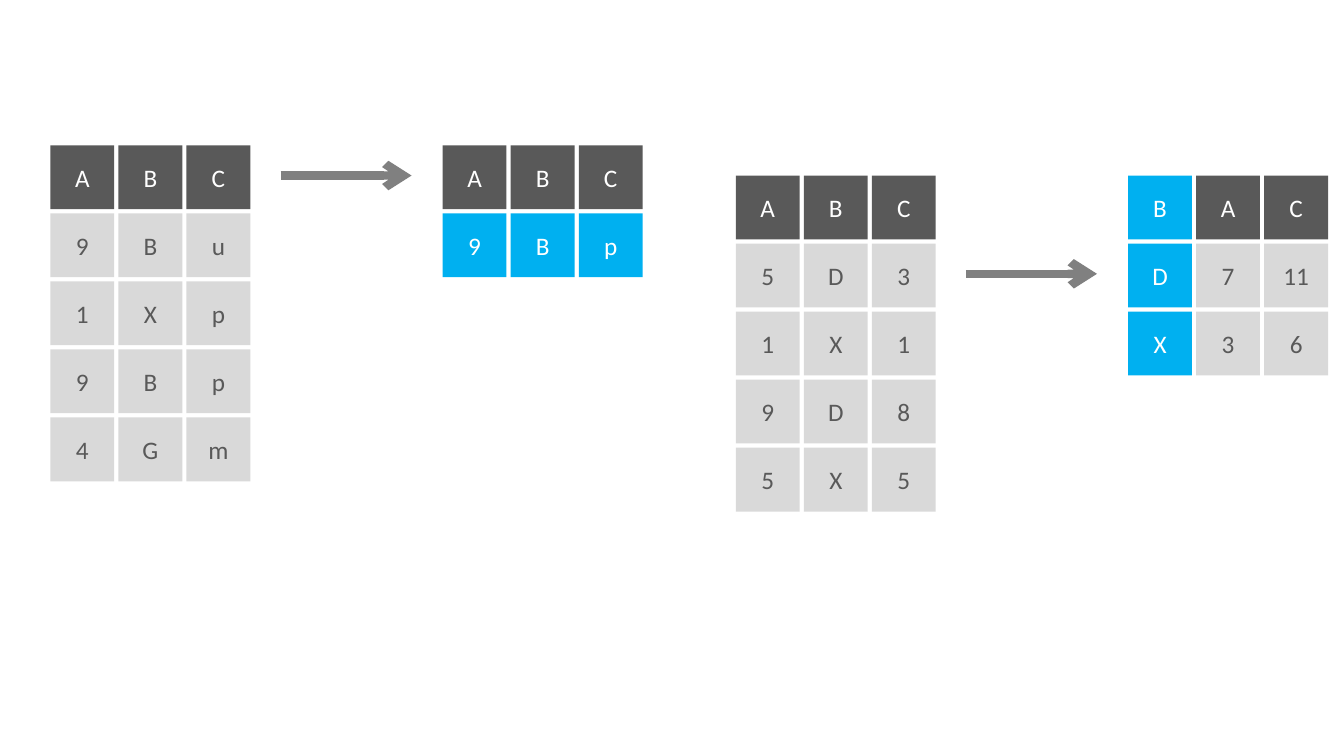
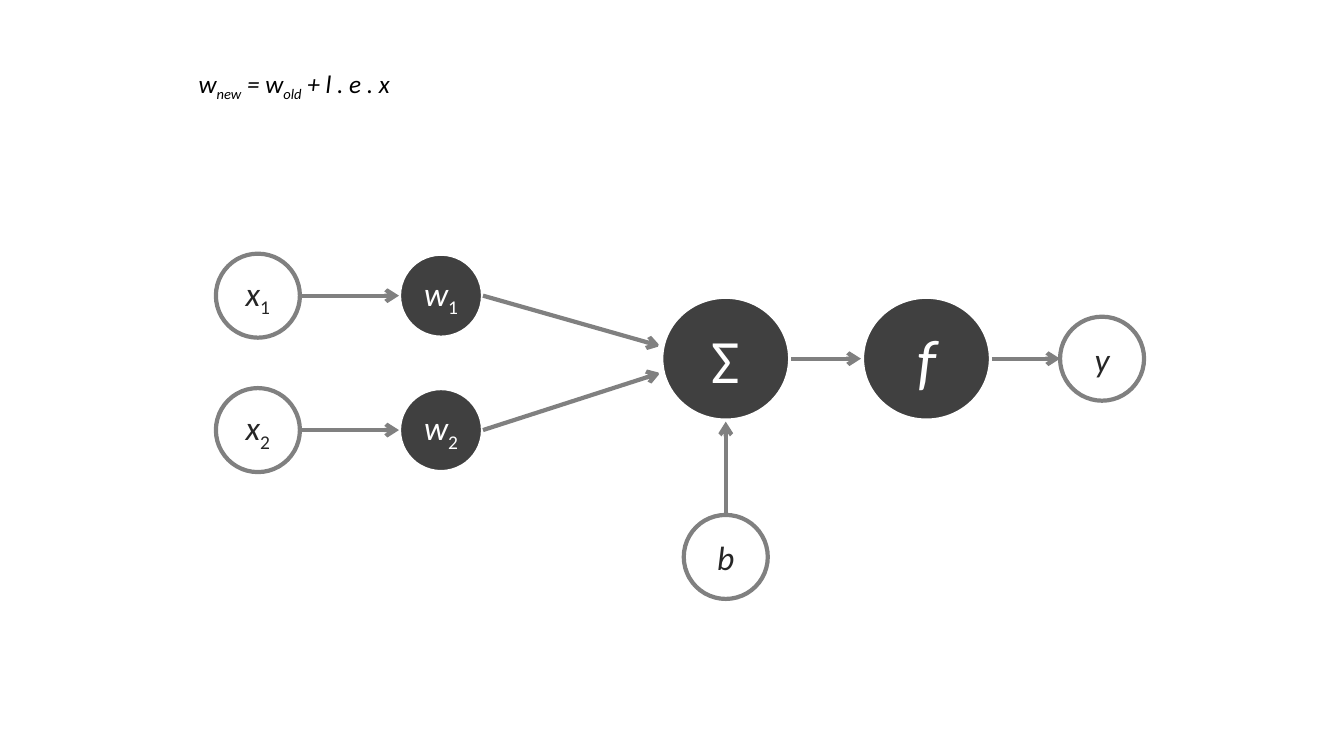
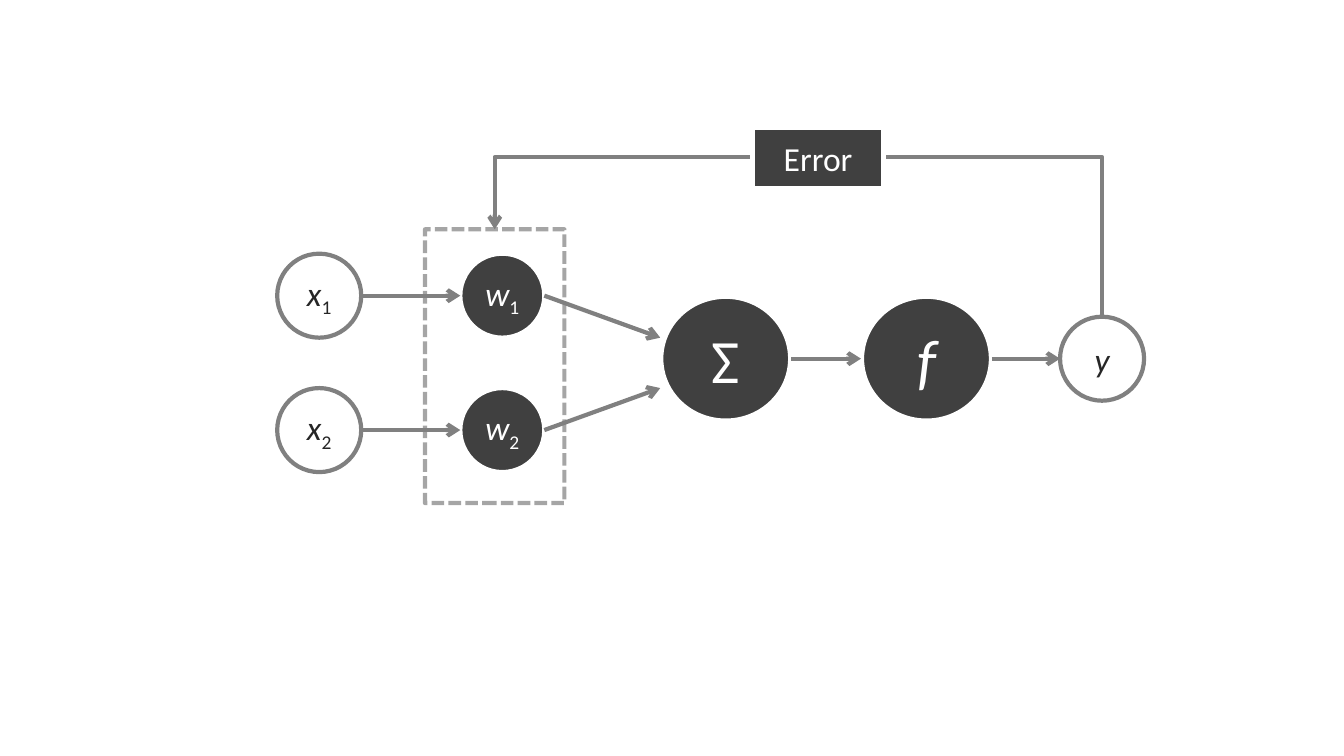
from lxml import etree
from pptx import Presentation
from pptx import util as u
from pptx.dml import color
from pptx.enum import dml, shapes, text
from pptx.oxml import ns

COLORS = {"white": "FFFFFF", "head": "595959", "cell": "D9D9D9", "accent": "00B0F0",
          "dark": "404040", "line": "808080", "ink": "262626", "black": "000000"}
STYLES = {
    "head": {"fill": "head", "ink": "white", "size": 18},
    "cell": {"fill": "cell", "ink": "head", "size": 18},
    "accent": {"fill": "accent", "ink": "white", "size": 18},
    "hollow": {"line": "line", "weight": 3, "ink": "ink", "size": 24},
    "solid": {"fill": "dark", "line": "white", "weight": 3, "ink": "white", "size": 24},
    "large": {"fill": "dark", "line": "white", "weight": 4.5, "ink": "white", "size": 44},
    "frame": {"line": "line", "weight": 3},
    "formula": {"ink": "black", "size": 18},
}
RGB = {name: color.RGBColor.from_string(value) for name, value in COLORS.items()}
RECT, OVAL = shapes.MSO_SHAPE.RECTANGLE, shapes.MSO_SHAPE.OVAL
STRAIGHT, ELBOW = shapes.MSO_CONNECTOR.STRAIGHT, shapes.MSO_CONNECTOR.ELBOW

deck = Presentation()
deck.slide_width, deck.slide_height = u.Inches(40 / 3), u.Inches(7.5)
UNIT = deck.slide_width / 16


def draw_node(holder, kind, center, size, style, runs=()):
    look = STYLES[style]
    box = [round(UNIT * value) for value in (center[0] - size[0] / 2, center[1] - size[1] / 2, *size)]
    node = holder.add_shape(kind, *box) if kind else holder.add_textbox(*box)
    node.shadow.inherit = False
    for paint, name in ((node.fill, "fill"), (node.line.fill, "line")):
        if name in look:
            paint.solid()
            paint.fore_color.rgb = RGB[look[name]]
        else:
            paint.background()
    if "weight" in look:
        node.line.width = u.Pt(look["weight"])
    para = node.text_frame.paragraphs[0]
    para.alignment = text.PP_ALIGN.CENTER if kind else text.PP_ALIGN.LEFT
    for words, marks in runs:
        span = para.add_run()
        span.text = words
        for name, value in {"name": "Calibri", "size": u.Pt(look["size"]), "italic": "i" in marks}.items():
            setattr(span.font, name, value)
        span.font.color.rgb = RGB[look["ink"]]
        if "s" in marks:
            span._r.get_or_add_rPr().set("baseline", "-25000")
    return node


def draw_arrow(holder, kind, start, end, weight=3):
    arrow = holder.add_connector(kind, *[round(UNIT * value) for value in (*start, *end)])
    arrow.line.color.rgb = RGB["line"]
    arrow.line.width = u.Pt(weight)
    etree.SubElement(arrow.line._get_or_add_ln(), ns.qn("a:tailEnd"), type="arrow")
    etree.SubElement(arrow.element.spPr, ns.qn("a:effectLst"))
    return arrow


page = deck.slides.add_slide(deck.slide_layouts[6])
SIDE, PITCH = 0.76, 0.81
examples = [
    [(0.98, 2.11, ["ABC", "9Bu", "1Xp", "9Bp", "4Gm"], (), ()),
     (5.65, 2.11, ["ABC", "9Bp"], (1,), ()),
     (3.34, 4.9, 2.09)],
    [(9.14, 2.47, ["ABC", "5D3", "1X1", "9D8", "5X5"], (), ()),
     (13.81, 2.47, ["BAC", ["D", "7", "11"], "X36"], (), (0,)),
     (11.5, 13.06, 3.26)],
]
for *grids, (arrow_left, arrow_right, arrow_y) in examples:
    group = page.shapes.add_group_shape().shapes
    for left, top, rows, accent_rows, accent_columns in grids:
        for row, values in enumerate(rows):
            for column, value in enumerate(values):
                accent = row in accent_rows or column in accent_columns
                style = "accent" if accent else "cell" if row else "head"
                center = (left + column * PITCH, top + row * PITCH)
                draw_node(group, RECT, center, (SIDE, SIDE), style, [(value, "")])
    draw_arrow(group, STRAIGHT, (arrow_left, arrow_y), (arrow_right, arrow_y), 6)

MIDDLE = 4.27
SUM_X, F_X, Y_X = 8.64, 11.03, 13.12
LARGE = (1.56, 1.5)
BIG_RADIUS = LARGE[0] / 2
networks = [
    {"x": 3.07, "w": 5.25, "joins": (4.12, 4.44), "error": False},
    {"x": 3.8, "w": 5.98, "joins": (4.02, 4.62), "error": True},
]
for network in networks:
    page = deck.slides.add_slide(deck.slide_layouts[6])
    board = page.shapes
    if network["error"]:
        frame_x, frame_top, bend_y = 5.89, 2.73, 1.87
        start_y = MIDDLE - 0.5
        drop, reach = start_y - frame_top, Y_X - frame_x
        mid_x, mid_y = (Y_X + frame_x) / 2, (start_y + frame_top) / 2
        feedback = draw_arrow(board, ELBOW, (mid_x - drop / 2, mid_y - reach / 2),
                              (mid_x + drop / 2, mid_y + reach / 2))
        turn = feedback.element.spPr.find(ns.qn("a:xfrm"))
        for name, value in {"rot": "16200000", "flipV": "1"}.items():
            turn.set(name, value)
        adjusts = next(feedback.element.iter(ns.qn("a:avLst")))
        bend = round((start_y - bend_y) / drop * 100000)
        etree.SubElement(adjusts, ns.qn("a:gd"), name="adj1", fmla=f"val {bend}")

    for index, y, join in zip("12", (3.52, 5.12), network["joins"]):
        for letter, style in (("x", "hollow"), ("w", "solid")):
            draw_node(board, OVAL, (network[letter], y), (1, 1), style, [(letter, "i"), (index, "s")])
        draw_arrow(board, STRAIGHT, (network["x"] + 0.5, y), (network["w"] - 0.5, y))
        draw_arrow(board, STRAIGHT, (network["w"] + 0.5, y), (SUM_X - BIG_RADIUS, join))

    for x, runs, right_inset in ((SUM_X, [("Σ", "")], 0.08), (F_X, [(" ", ""), ("f", "i")], 0.2)):
        node = draw_node(board, OVAL, (x, MIDDLE), LARGE, "large", runs)
        insets = {"margin_left": 0.08, "margin_top": 0.08, "margin_right": right_inset, "margin_bottom": 0.08}
        for name, value in insets.items():
            setattr(node.text_frame, name, u.Inches(value))
    draw_node(board, OVAL, (Y_X, MIDDLE), (1, 1), "hollow", [("y", "i")])
    for start, end in ((SUM_X + BIG_RADIUS, F_X - BIG_RADIUS), (F_X + BIG_RADIUS, Y_X - 0.5)):
        draw_arrow(board, STRAIGHT, (start, MIDDLE), (end, MIDDLE))

    if network["error"]:
        draw_node(board, RECT, (9.74, 1.88), (1.56, 0.71), "solid", [("Error", "")])
        frame = draw_node(board, RECT, (frame_x, frame_top + 1.63), (1.66, 3.26), "frame")
        frame.line.dash_style = dml.MSO_LINE.SQUARE_DOT
        tint = next(frame.element.iter(ns.qn("a:srgbClr")))
        etree.SubElement(tint, ns.qn("a:alpha"), val="70000")
    else:
        draw_node(board, OVAL, (SUM_X, 6.63), (1, 1), "hollow", [("b", "i")])
        draw_arrow(board, STRAIGHT, (SUM_X, 6.13), (SUM_X, MIDDLE + LARGE[1] / 2))
        rule = [("w", "i"), ("new", "is"), (" = w", "i"), ("old", "is"), (" + l . e . x", "i")]
        formula = draw_node(board, None, (3.56, 0.97), (2.63, 0.49), "formula", rule).text_frame
        for name, value in {"word_wrap": False, "auto_size": text.MSO_AUTO_SIZE.SHAPE_TO_FIT_TEXT}.items():
            setattr(formula, name, value)
        for name, value in {"line_spacing": 1.07, "space_after": u.Pt(8)}.items():
            setattr(formula.paragraphs[0], name, value)

deck.save("out.pptx")
